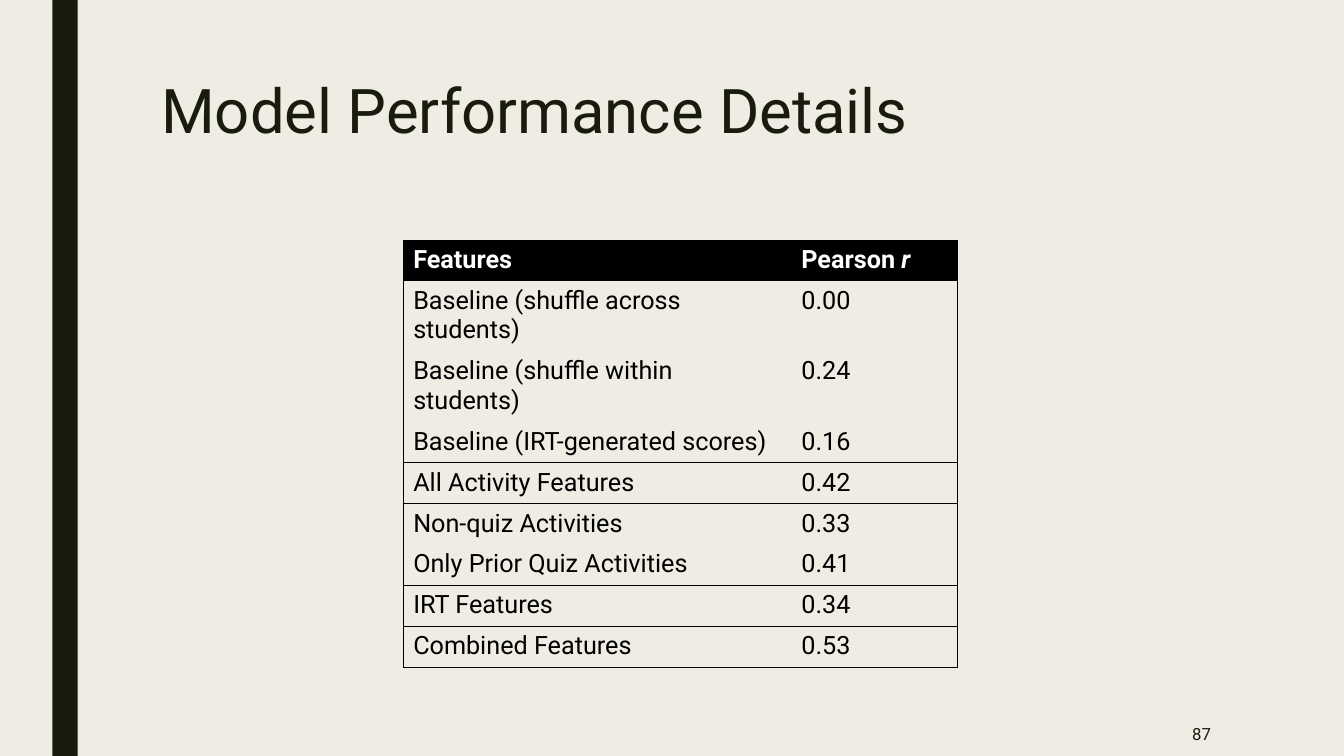
import pptx
import pptx.dml.color
import pptx.enum.shapes
import pptx.enum.text
import pptx.oxml
import pptx.oxml.ns
import pptx.util

INK = {"page": "EFEDE3", "dark": "191B0E", "black": "000000", "white": "FFFFFF"}
WIDE, HIGH = 13.33, 7.5
PLAIN = "{2D5ABB26-0587-4C30-8999-92F81FD0307C}"  # table style without grid
TOP = pptx.enum.text.MSO_ANCHOR.TOP
MID = pptx.enum.text.MSO_ANCHOR.MIDDLE
LEFT = pptx.enum.text.PP_ALIGN.LEFT
RIGHT = pptx.enum.text.PP_ALIGN.RIGHT

ROWS = [
    ("Features", "Pearson "),
    ("Baseline (shuffle across students)", "0.00"),
    ("Baseline (shuffle within students)", "0.24"),
    ("Baseline (IRT-generated scores)", "0.16"),
    ("All Activity Features", "0.42"),
    ("Non-quiz Activities", "0.33"),
    ("Only Prior Quiz Activities", "0.41"),
    ("IRT Features", "0.34"),
    ("Combined Features", "0.53"),
]
RULES = {0: 0.5, 4: 1, 5: 1, 7: 1, 8: 1, 9: 0.5}  # line width above each row
SHARES = (0.7, 0.3)  # column widths


def inch(box):
    return [pptx.util.Inches(size) for size in box]


def tint(name):
    return pptx.dml.color.RGBColor.from_string(INK[name])


def write(para, text, size, color, **form):
    """Add one run of text."""
    run = para.add_run()
    run.text = text
    form = {"name": "Roboto", "size": pptx.util.Pt(size), **form}
    for key, value in form.items():
        setattr(run.font, key, value)
    run.font.color.rgb = tint(color)


def band(slide, box):
    """Draw the dark strip."""
    bar = slide.shapes.add_shape(
        pptx.enum.shapes.MSO_SHAPE.RECTANGLE, *inch(box))
    bar.shadow.inherit = False
    bar.fill.solid()
    bar.fill.fore_color.rgb = tint("dark")
    bar.line.fill.background()


def label(slide, box, text, size, anchor=TOP, align=LEFT, space=1.0):
    """Place one line of text in a box."""
    frame = slide.shapes.add_textbox(*inch(box)).text_frame
    frame.word_wrap = True
    frame.vertical_anchor = anchor
    para = frame.paragraphs[0]
    para.alignment = align
    para.line_spacing = space
    write(para, text, size, "dark")


def edge(cell, sides):
    """Set cell borders; a width of 0 means no line."""
    props = cell._tc.get_or_add_tcPr()
    space = pptx.oxml.ns.nsdecls("a")
    for spot, (side, width) in enumerate(sides.items()):
        fill = "<a:noFill/>"
        if width:
            fill = (f'<a:solidFill><a:srgbClr val="{INK["black"]}"/>'
                    "</a:solidFill>")
        line = pptx.oxml.parse_xml(
            f'<a:ln{side} {space} w="{int(width * 12700)}">{fill}</a:ln{side}>')
        props.insert(spot, line)


def scores(slide, box):
    """Build the table of features and correlations."""
    left, top, width, height = box
    last = len(SHARES) - 1
    table = slide.shapes.add_table(
        len(ROWS), len(SHARES), *inch(box)).table
    table.horz_banding = False
    table._tbl.tblPr.find(pptx.oxml.ns.qn("a:tableStyleId")).text = PLAIN
    for column, share in zip(table.columns, SHARES):
        column.width = pptx.util.Inches(width * share)
    for r, texts in enumerate(ROWS):
        table.rows[r].height = pptx.util.Inches(height / len(ROWS))
        head = r == 0
        color = "white" if head else "black"
        for c, text in enumerate(texts):
            cell = table.cell(r, c)
            if head:
                cell.fill.solid()
                cell.fill.fore_color.rgb = tint("black")
            else:
                cell.fill.background()
            para = cell.text_frame.paragraphs[0]
            write(para, text, 18, color, bold=head)
            if head and c == last:
                write(para, "r", 18, color, bold=True, italic=True)
            edge(cell, {"L": 0.5 if c == 0 else 0,
                        "R": 0.5 if c == last else 0,
                        "T": RULES.get(r, 0),
                        "B": RULES.get(r + 1, 0)})


def main():
    deck = pptx.Presentation()
    deck.slide_width, deck.slide_height = inch((WIDE, HIGH))
    slide = deck.slides.add_slide(deck.slide_layouts[6])
    slide.background.fill.solid()
    slide.background.fill.fore_color.rgb = tint("page")

    band(slide, (0.52, 0, 0.25, HIGH))
    # Title
    label(slide, (1.5, HIGH * 0.1, 10.5, 1.62),
          "Model Performance Details", 44, space=0.89)
    scores(slide, (WIDE * 0.3, 2.38, 5.5, 3.65))
    # Page number
    label(slide, (10.36, 7.06, 1.75, 0.44), "87", 12, MID, RIGHT)
    deck.save("out.pptx")


if __name__ == "__main__":
    main()
